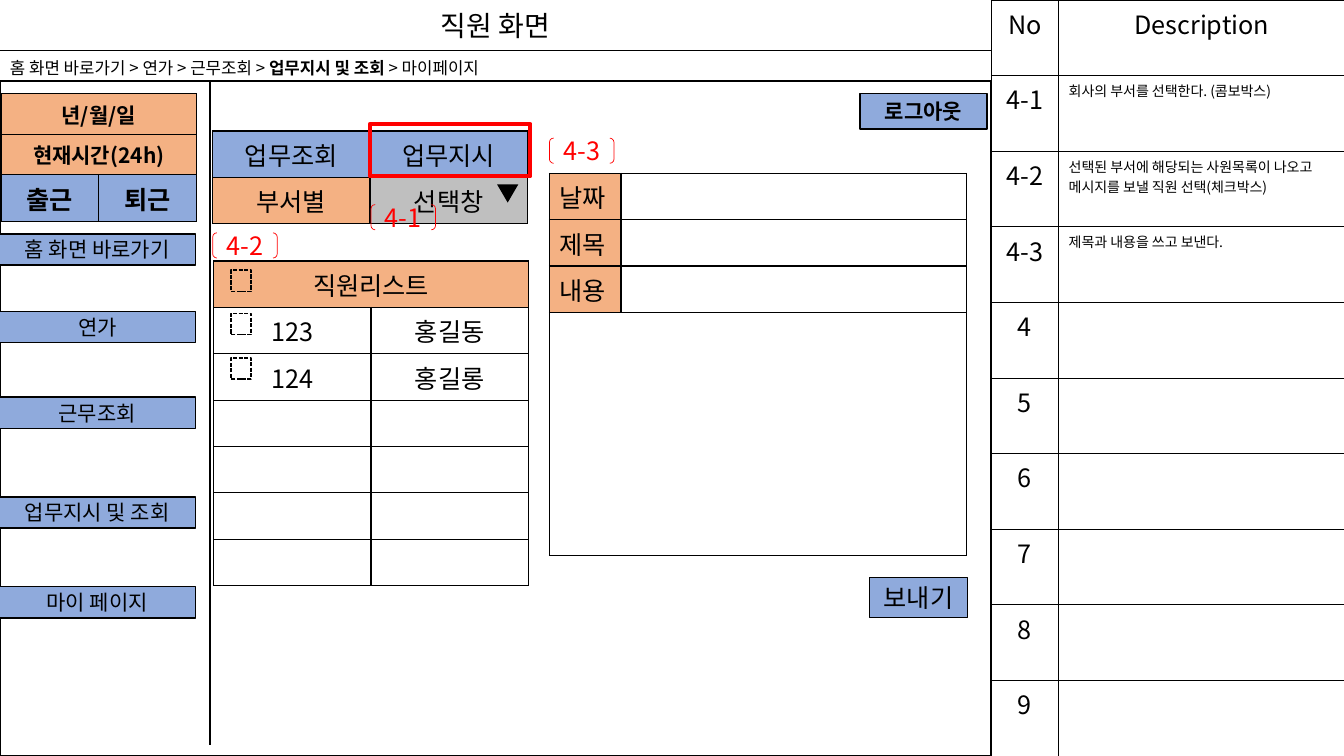
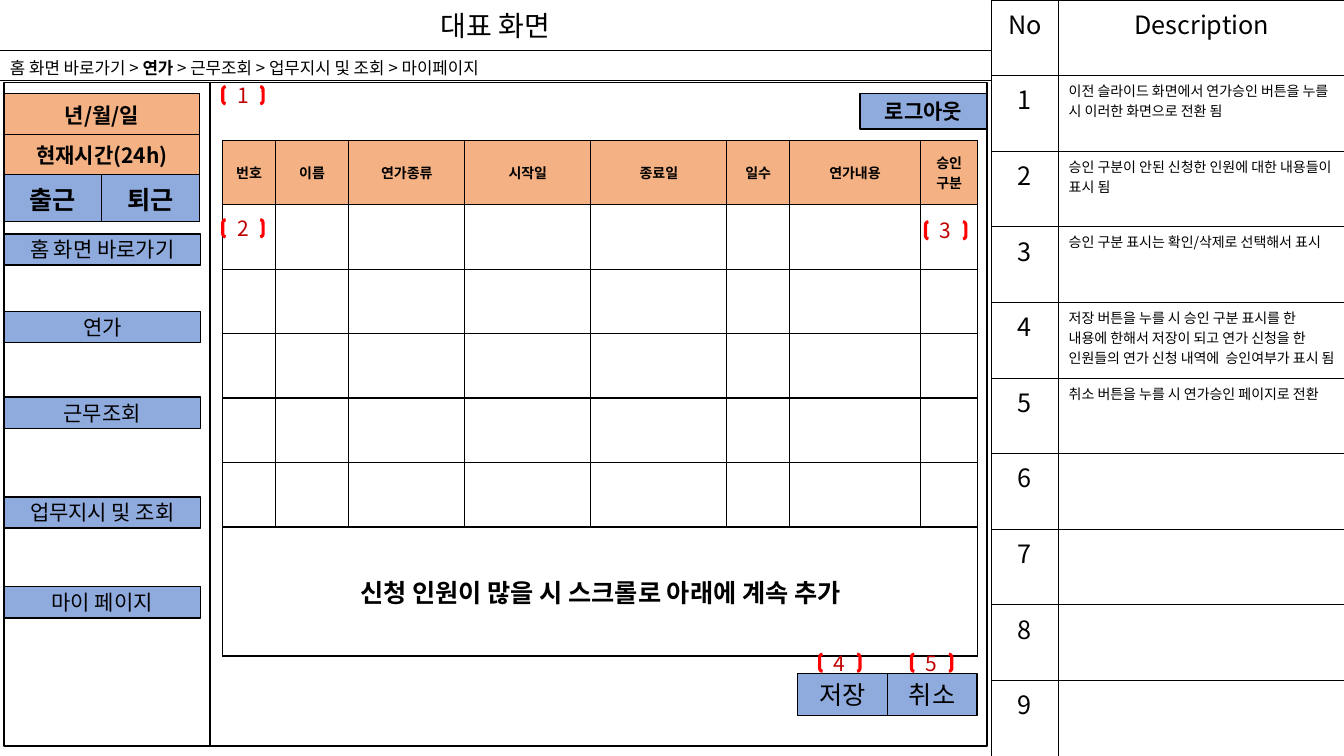
from lxml import etree
from pptx import Presentation
from pptx.dml.color import RGBColor
from pptx.enum.dml import MSO_LINE
from pptx.enum.shapes import MSO_CONNECTOR, MSO_SHAPE
from pptx.enum.text import MSO_ANCHOR, PP_ALIGN
from pptx.oxml.ns import qn
from pptx.util import Inches, Pt

RECTANGLE = MSO_SHAPE.RECTANGLE
TRIANGLE = MSO_SHAPE.ISOSCELES_TRIANGLE
BRACKETS = MSO_SHAPE.DOUBLE_BRACKET
STRAIGHT = MSO_CONNECTOR.STRAIGHT
DASHED = MSO_LINE.SQUARE_DOT
LEFT, CENTER = PP_ALIGN.LEFT, PP_ALIGN.CENTER
TOP, MIDDLE = MSO_ANCHOR.TOP, MSO_ANCHOR.MIDDLE

BLACK = RGBColor(0x00, 0x00, 0x00)
WHITE = RGBColor(0xFF, 0xFF, 0xFF)
BLUE = RGBColor(0x8F, 0xAA, 0xDC)
ORANGE = RGBColor(0xF4, 0xB1, 0x83)
GRAY = RGBColor(0xBF, 0xBF, 0xBF)
RED = RGBColor(0xFF, 0x00, 0x00)
DARK_RED = RGBColor(0xC0, 0x00, 0x00)
FONT = "Noto Sans CJK KR"

BREADCRUMBS = ["홈 화면 바로가기", "연가", "근무조회", "업무지시 및 조회", "마이페이지"]
MENU = [("홈 화면 바로가기", 2.32), ("연가", 3.09), ("근무조회", 3.94),
        ("업무지시 및 조회", 4.93), ("마이 페이지", 5.82)]
CLOCK = [["년/월/일", ""], ["현재시간(24h)", ""], ["출근", "퇴근"]]

STAFF = {
    "title": "직원 화면",
    "active": 3,
    "frame": (0, 0.81, 9.83, 6.69),
    "clock_left": 0.01,
    "menu_left": -0.01,
    "notes": [
        ("4-1", "회사의 부서를 선택한다. (콤보박스)"),
        ("4-2", "선택된 부서에 해당되는 사원목록이 나오고\n메시지를 보낼 직원 선택(체크박스)"),
        ("4-3", "제목과 내용을 쓰고 보낸다."),
    ] + [(str(number), "") for number in range(4, 10)],
}
MANAGER = {
    "title": "대표 화면",
    "active": 1,
    "frame": (0.04, 0.82, 9.75, 6.58),
    "clock_left": 0.04,
    "menu_left": 0.04,
    "notes": [
        ("1", "이전 슬라이드 화면에서 연가승인 버튼을 누를 시 이러한 화면으로 전환 됨"),
        ("2", "승인 구분이 안된 신청한 인원에 대한 내용들이 표시 됨"),
        ("3", "승인 구분 표시는 확인/삭제로 선택해서 표시"),
        ("4", "저장 버튼을 누를 시 승인 구분 표시를 한 내용에 한해서 저장이 되고 "
              "연가 신청을 한 인원들의 연가 신청 내역에  승인여부가 표시 됨"),
        ("5", "취소 버튼을 누를 시 연가승인 페이지로 전환"),
    ] + [(str(number), "") for number in range(6, 10)],
}

TABS = [["업무조회", "업무지시"], ["부서별", "선택창"]]
EMPLOYEES = [["직원리스트", ""], ["123", "홍길동"], ["124", "홍길롱"]] + [["", ""]] * 4
MESSAGE = [["날짜", ""], ["제목", ""], ["내용", ""], ["", ""]]
CHECKBOX_TOPS = [2.68, 3.11, 3.55]
STAFF_MARKS = [("4-3", 5.45, 1.37), ("4-1", 3.68, 2.03), ("4-2", 2.11, 2.31)]

LEAVE_HEADER = ["번호", "이름", "연가종류", "시작일", "종료일", "일수", "연가내용", "승인구분"]
LEAVE_WIDTHS = [0.52, 0.73, 1.15, 1.25, 1.35, 0.62, 1.3, 0.57]
LEAVE_FOOTER = "신청 인원이 많을 시 스크롤로 아래에 계속 추가"
LEAVE_MARKS = [("1", 2.21, 0.86), ("2", 2.21, 2.18), ("3", 9.18, 2.2),
               ("4", 8.13, 6.49), ("5", 9.04, 6.49)]
LEAVE_BUTTONS = ["저장", "취소"]


def format_run(run, size, color=BLACK, bold=False):
    run.font.size = Pt(size)
    run.font.name = FONT
    run.font.bold = bold
    run.font.color.rgb = color
    east_asian = etree.SubElement(run.font._element, qn("a:ea"))
    east_asian.set("typeface", FONT)


def set_text(text_frame, text, size, color=BLACK, bold=False, align=CENTER):
    text_frame.text = text
    for paragraph in text_frame.paragraphs:
        paragraph.alignment = align
        for run in paragraph.runs:
            format_run(run, size, color, bold)


def add_box(slide, at, text="", size=15, fill=None, line=BLACK, width=1,
            kind=RECTANGLE, color=BLACK, bold=False):
    shape = slide.shapes.add_shape(kind, *map(Inches, at))
    shape.shadow.inherit = False
    if fill is None:
        shape.fill.background()
    else:
        shape.fill.solid()
        shape.fill.fore_color.rgb = fill
    if line is None:
        shape.line.fill.background()
    else:
        shape.line.color.rgb = line
        shape.line.width = Pt(width)
    if text:
        shape.text_frame.word_wrap = True
        shape.text_frame.vertical_anchor = MIDDLE
        set_text(shape.text_frame, text, size, color, bold)
    return shape


def add_borders(cell, width):
    properties = cell._tc.get_or_add_tcPr()
    for side in ("a:lnL", "a:lnR", "a:lnT", "a:lnB"):
        border = etree.SubElement(properties, qn(side), w=str(Pt(width)))
        fill = etree.SubElement(border, qn("a:solidFill"))
        etree.SubElement(fill, qn("a:srgbClr"), val=str(BLACK))


def add_grid(slide, left, top, widths, heights, rows, style, border=1, merged=()):
    frame = slide.shapes.add_table(
        len(heights), len(widths), Inches(left), Inches(top),
        Inches(sum(widths)), Inches(sum(heights)))
    table = frame.table
    table.first_row = False
    table.horz_banding = False
    for column, width in zip(table.columns, widths):
        column.width = Inches(width)
    for row, height in zip(table.rows, heights):
        row.height = Inches(height)
    for row_index, row in enumerate(rows):
        for column_index, text in enumerate(row):
            cell = table.cell(row_index, column_index)
            look = {"size": 18, "fill": None, "bold": False, "align": CENTER,
                    "anchor": TOP, **style(row_index, column_index)}
            add_borders(cell, border)
            if look["fill"] is None:
                cell.fill.background()
            else:
                cell.fill.solid()
                cell.fill.fore_color.rgb = look["fill"]
            cell.vertical_anchor = look["anchor"]
            if text:
                set_text(cell.text_frame, text, look["size"],
                         bold=look["bold"], align=look["align"])
    for row_index in merged:
        table.cell(row_index, 0).merge(table.cell(row_index, len(widths) - 1))


def notes_style(row, column):
    if row and column:
        return {"size": 10, "align": LEFT}
    return {}


def clock_style(row, column):
    if row < 2:
        return {"size": 15, "fill": ORANGE, "bold": True}
    return {"fill": BLUE, "bold": True}


def tabs_style(row, column):
    return {"fill": BLUE if row == 0 else (ORANGE, GRAY)[column]}


def employees_style(row, column):
    return {"fill": ORANGE if row == 0 else None}


def message_style(row, column):
    return {"fill": ORANGE if column == 0 and row < 3 else None, "align": LEFT}


def leave_style(row, column):
    if row == 0:
        return {"size": 10, "fill": ORANGE, "bold": True, "anchor": MIDDLE}
    return {"bold": True, "anchor": MIDDLE}


def add_breadcrumbs(slide, active):
    box = slide.shapes.add_textbox(Inches(0), Inches(0.52), Inches(6.14), Inches(0.3))
    box.text_frame.word_wrap = True
    paragraph = box.text_frame.paragraphs[0]
    for index, name in enumerate(BREADCRUMBS):
        if index:
            separator = paragraph.add_run()
            separator.text = " > "
            format_run(separator, 12)
        run = paragraph.add_run()
        run.text = name
        format_run(run, 12, bold=index == active)


def add_divider(slide):
    connector = slide.shapes.add_connector(
        STRAIGHT, Inches(2.08), Inches(0.81), Inches(2.08), Inches(7.39))
    connector.line.color.rgb = BLACK
    connector.line.width = Pt(1.5)
    etree.SubElement(connector._element.spPr, qn("a:effectLst"))


def add_screen(presentation, screen):
    slide = presentation.slides.add_slide(presentation.slide_layouts[6])
    add_box(slide, screen["frame"], fill=WHITE)
    add_box(slide, (0, 0, 9.83, 0.5), screen["title"], 20, width=0.75)
    add_grid(slide, 9.83, 0, [0.67, 2.84], [0.75] * 10,
             [("No", "Description")] + screen["notes"], notes_style, border=0.5)
    add_box(slide, (0, 0.5, 9.83, 0.3), width=0.75)
    add_grid(slide, screen["clock_left"], 0.93, [0.97, 0.97], [0.4, 0.4, 0.46],
             CLOCK, clock_style, merged=[0, 1])
    for name, top in MENU:
        add_box(slide, (screen["menu_left"], top, 1.95, 0.31), name, fill=BLUE)
    add_box(slide, (8.53, 0.93, 1.26, 0.35), "로그아웃", fill=BLUE, bold=True)
    add_breadcrumbs(slide, screen["active"])
    add_divider(slide)
    return slide


def build_staff(presentation):
    slide = add_screen(presentation, STAFF)
    add_grid(slide, 2.11, 1.3, [1.56] * 2, [0.46] * 2, TABS, tabs_style)
    arrow = add_box(slide, (4.93, 1.83, 0.21, 0.18), fill=BLACK, line=None, kind=TRIANGLE)
    arrow.rotation = 180
    add_grid(slide, 2.12, 2.59, [1.56] * 2, [0.46] * 7, EMPLOYEES,
             employees_style, merged=[0])
    for top in CHECKBOX_TOPS:
        checkbox = add_box(slide, (2.29, top, 0.2, 0.21))
        checkbox.line.dash_style = DASHED
    add_grid(slide, 5.45, 1.72, [0.71, 3.43], [0.46] * 3 + [2.41], MESSAGE,
             message_style, merged=[3])
    add_box(slide, (8.62, 5.73, 0.98, 0.4), "보내기", 18, fill=BLUE, width=0.75)
    for label, left, top in STAFF_MARKS:
        add_box(slide, (left, top, 0.64, 0.25), label, 18, line=RED, width=0.5,
                kind=BRACKETS, color=RED)
    add_box(slide, (3.67, 1.23, 1.59, 0.52), line=RED, width=3)


def build_manager(presentation):
    slide = add_screen(presentation, MANAGER)
    blank = [""] * len(LEAVE_HEADER)
    rows = [LEAVE_HEADER] + [blank] * 5 + [[LEAVE_FOOTER] + blank[1:]]
    add_grid(slide, 2.21, 1.39, LEAVE_WIDTHS, [0.64] * 6 + [1.28], rows,
             leave_style, merged=[6])
    for index, name in enumerate(LEAVE_BUTTONS):
        add_box(slide, (7.91 + 0.89 * index, 6.68, 0.89, 0.42), name, 18, fill=BLUE)
    for label, left, top in LEAVE_MARKS:
        add_box(slide, (left, top, 0.4, 0.17), label, 15, line=RED, width=2.25,
                kind=BRACKETS, color=DARK_RED)


presentation = Presentation()
presentation.slide_width = Inches(13.33)
presentation.slide_height = Inches(7.5)
build_staff(presentation)
build_manager(presentation)
presentation.save("out.pptx")
